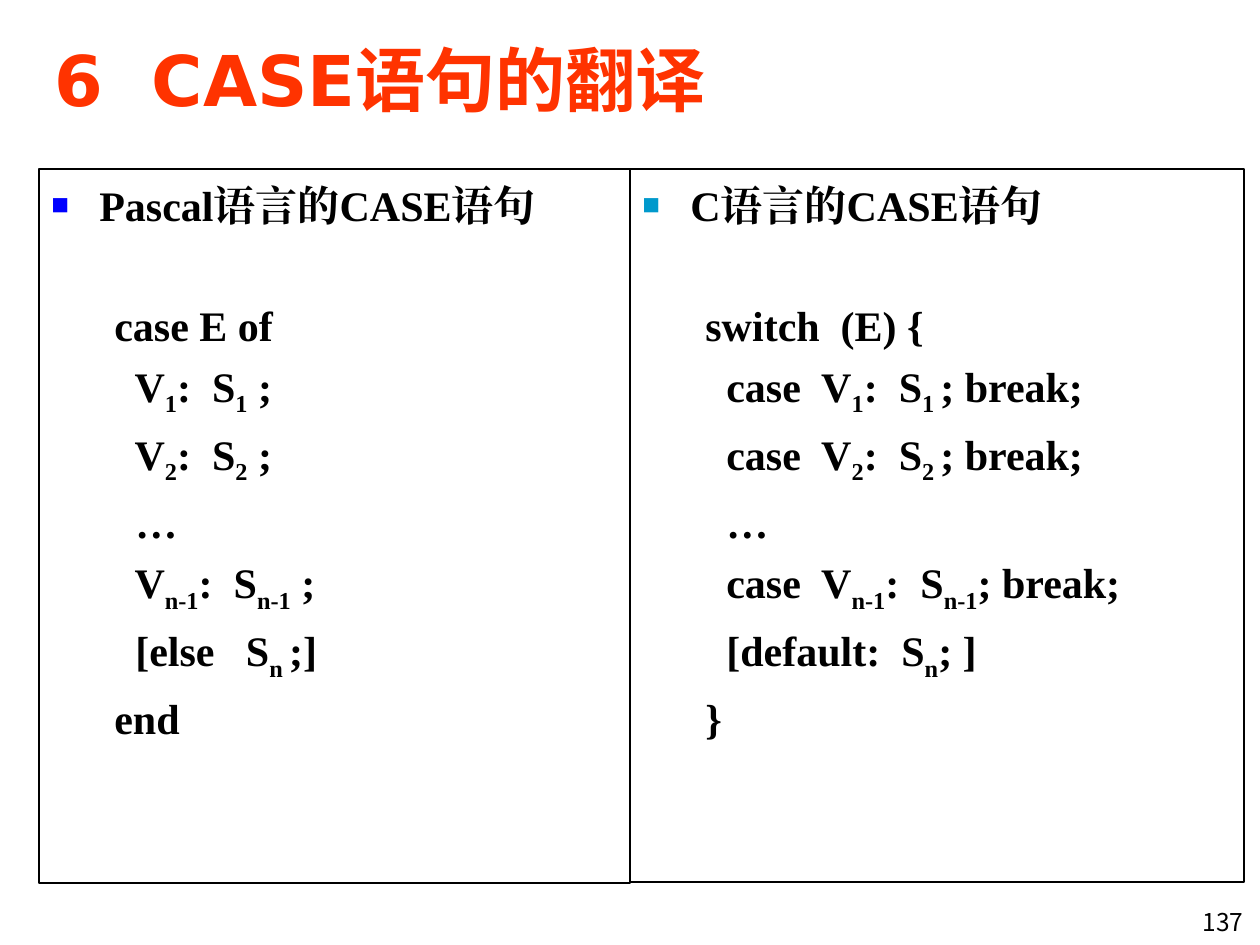
from lxml.etree import SubElement as Sub
from pptx import Presentation
from pptx.dml.color import RGBColor as Rgb
from pptx.enum.text import MSO_ANCHOR as Anchor, PP_ALIGN as Align
from pptx.oxml.ns import qn
from pptx.util import Emu, Pt

HUES = {"title": "FF3300", "ink": "000000", "blue": "0000FF", "cyan": "0099CC"}
SERIF, SANS, CJK = "Times New Roman", "DejaVu Sans", "Noto Sans CJK SC"
PASCAL = ["case E of", "  V~1~:  S~1~ ;", "  V~2~:  S~2~ ;", "  …",
          "  V~n-1~:  S~n-1~ ;", "  [else   S~n ~;]", "end"]
SWITCH = ["switch  (E) {", "  case  V~1~:  S~1 ~; break;",
          "  case  V~2~:  S~2 ~; break;", "  …",
          "  case  V~n-1~:  S~n-1~; break;", "  [default:  S~n~; ]", "}"]


def px(num):
    """Turn pixels into EMU."""
    return Emu(round(num * 914400 / 126))


def add_run(par, text, size, face, hue="ink", bold=True, low=False):
    """Add one styled run, lowered if it is a subscript."""
    run = par.add_run()
    run.text = text
    font = run.font
    font.size, font.name, font.bold = Pt(size), face, bold
    font.color.rgb = Rgb.from_string(HUES[hue])
    props = font._element
    Sub(props, qn("a:ea")).set("typeface", face)
    if low:
        props.set("baseline", "-25000")


def add_box(slide, box):
    """Add a wrapping text box."""
    shape = slide.shapes.add_textbox(*map(px, box))
    shape.text_frame.word_wrap = True
    return shape


def add_mark(par, hue):
    """Give a paragraph a hanging square bullet."""
    props = par._p.get_or_add_pPr()
    props.set("marL", str(px(48)))
    props.set("indent", str(-px(48)))
    tint = Sub(props, qn("a:buClr"))
    Sub(tint, qn("a:srgbClr")).set("val", HUES[hue])
    Sub(props, qn("a:buSzPct")).set("val", "70000")
    Sub(props, qn("a:buFont")).set("typeface", SERIF)
    Sub(props, qn("a:buChar")).set("char", "■")


def add_title(slide, box, text):
    """Place and format the title."""
    title = slide.shapes.title
    title.left, title.top, title.width, title.height = map(px, box)
    frame = title.text_frame
    frame.vertical_anchor = Anchor.MIDDLE
    par = frame.paragraphs[0]
    par.alignment = Align.LEFT
    add_run(par, text, 40, SANS, "title")


def add_panel(slide, box, head, lines, hue):
    """Add a framed panel with a heading and code lines."""
    panel = add_box(slide, box)
    panel.line.color.rgb = Rgb.from_string(HUES["ink"])
    panel.line.width = Pt(0.75)
    frame = panel.text_frame
    frame.margin_top = px(10)
    par = frame.paragraphs[0]
    add_mark(par, hue)
    add_run(par, head, 24, SERIF)
    for row, line in enumerate(lines):
        par = frame.add_paragraph()
        par._p.get_or_add_pPr().set("marL", str(px(63)))
        par.space_before = Pt(6 if row else 40)
        for num, part in enumerate(line.split("~")):
            add_run(par, part, 24, SERIF, low=num % 2 == 1)


def add_page(slide, box, text):
    """Add the page number."""
    par = add_box(slide, box).text_frame.paragraphs[0]
    par.alignment = Align.RIGHT
    add_run(par, text, 14, CJK, bold=False)


def main():
    """Build and save the slide."""
    deck = Presentation()
    deck.slide_width, deck.slide_height = px(1260), px(945)
    slide = deck.slides.add_slide(deck.slide_layouts[5])
    add_title(slide, (42, 21, 1187, 116), "6  CASE语句的翻译")
    add_panel(slide, (39, 169, 591, 714), "Pascal语言的CASE语句", PASCAL, "blue")
    add_panel(slide, (630, 169, 614, 713), "C语言的CASE语句", SWITCH, "cyan")
    add_page(slide, (1152, 901, 104, 40), "137")
    deck.save("out.pptx")


if __name__ == "__main__":
    main()
